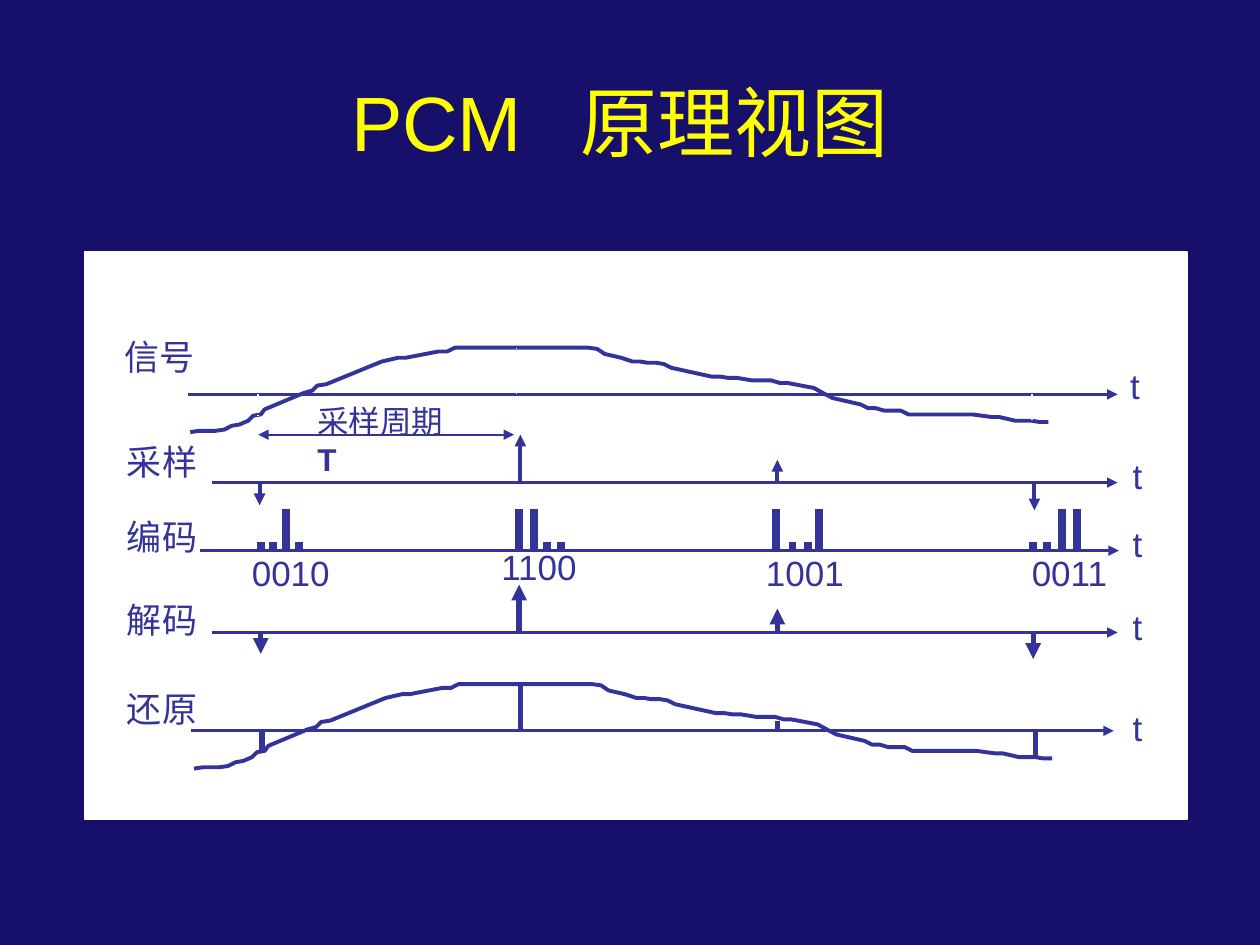
"""Build the slide that shows the stages of PCM along five time axes."""
from lxml.etree import SubElement
from pptx import Presentation
from pptx.dml.color import RGBColor
from pptx.enum.dml import MSO_LINE
from pptx.enum.shapes import MSO_CONNECTOR as Link, MSO_SHAPE as Preset
from pptx.enum.text import MSO_ANCHOR as Anchor, MSO_AUTO_SIZE as Fit, PP_ALIGN as Align
from pptx.oxml.ns import qn
from pptx.util import Inches, Pt

COLORS = {"night": "16106B", "title": "FFFF01", "panel": "FFFFFF", "ink": "333399"}

STAGES = [
    ("信号", (0.89, 2.61), "Times New Roman", (1.49, 8.87, 3.13), (8.87, 2.84)),
    ("采样", (0.91, 3.45), "Arial", (1.68, 8.87, 3.83), (8.89, 3.56)),
    ("编码", (0.91, 4.04), "Arial", (1.59, 8.88, 4.37), (8.89, 4.1)),
    ("解码", (0.91, 4.7), "Arial", (1.68, 8.87, 5.02), (8.89, 4.76)),
    ("还原", (0.91, 5.41), "Arial", (1.52, 8.84, 5.8), (8.89, 5.56)),
]
CODES = [
    ("0010", (1.9, 4.33), (2.07, 2.17, 2.27, 2.37)),
    ("1100", (3.88, 4.28), (4.12, 4.24, 4.34, 4.45)),
    ("1001", (5.98, 4.33), (6.16, 6.29, 6.41, 6.5)),
    ("0011", (8.09, 4.33), (8.2, 8.31, 8.43, 8.55)),
]
SAMPLES = [(2.06, 3.84, 4.01), (4.13, 3.83, 3.45), (6.17, 3.83, 3.65), (8.21, 3.84, 4.05)]
DECODED = [(2.07, 5.02, 5.19), (4.12, 5.02, 4.64), (6.17, 5.02, 4.83), (8.2, 5.02, 5.23)]
RESTORED = [(2.08, 5.8, 5.97), (4.13, 5.43, 5.8), (6.17, 5.72, 5.8), (8.22, 5.8, 6.01)]
DOTTED = [(2.05, 3.13, 3.3), (4.1, 2.76, 3.12), (6.14, 3.05, 3.12), (8.19, 3.13, 3.34)]
PERIOD_ENDS = [(2.05, 3.34, 3.46), (4.1, 3.47, 3.17)]
CURVE = [
    (1.51, 3.43), (1.58, 3.42), (1.71, 3.42), (1.78, 3.41), (1.84, 3.38), (1.9, 3.37),
    (1.97, 3.34), (2.01, 3.3), (2.07, 3.29), (2.1, 3.25), (2.41, 3.12), (2.48, 3.1),
    (2.52, 3.06), (2.59, 3.05), (3.03, 2.87), (3.16, 2.84), (3.22, 2.84), (3.48, 2.79),
    (3.55, 2.79), (3.61, 2.76), (4.67, 2.76), (4.74, 2.77), (4.8, 2.81), (4.93, 2.84),
    (5.02, 2.87), (5.08, 2.87), (5.14, 2.88), (5.21, 2.88), (5.27, 2.89), (5.33, 2.92),
    (5.65, 2.99), (5.72, 2.99), (5.78, 3), (5.85, 3), (5.97, 3.02), (6.12, 3.02),
    (6.19, 3.04), (6.25, 3.04), (6.46, 3.08), (6.55, 3.13), (6.61, 3.16), (6.83, 3.21),
    (6.89, 3.24), (6.95, 3.24), (7.02, 3.26), (7.15, 3.26), (7.21, 3.29), (7.72, 3.29),
    (7.87, 3.31), (7.93, 3.31), (8.06, 3.34), (8.19, 3.34), (8.25, 3.35), (8.32, 3.35),
]


def color(name):
    """Return a named colour."""
    return RGBColor.from_string(COLORS[name])


def style_font(font, size, tint="ink", face="Arial"):
    """Set the size, colour and face of a font."""
    font.size = Pt(size)
    font.name = face
    font.color.rgb = color(tint)


def add_title(page):
    """Fill the title placeholder, with a widened gap after the first word."""
    title = page.shapes.title
    title.left, title.top = Inches(0.67), Inches(0.33)
    title.width, title.height = Inches(8.5), Inches(1.25)
    title.text_frame.vertical_anchor = Anchor.MIDDLE
    para = title.text_frame.paragraphs[0]
    para.alignment = Align.CENTER
    for words in ("PCM", " ", "原理视图"):
        span = para.add_run()
        span.text = words
        if words == " ":
            span.font.size = Pt(44)
            span.font._element.set("spc", "2100")
    style_font(para.font, 44, "title")


def add_panel(page):
    """Draw the white panel behind the diagram."""
    panel = page.shapes.add_shape(
        Preset.RECTANGLE, Inches(0.67), Inches(2), Inches(8.75), Inches(4.5))
    panel.shadow.inherit = False
    panel.fill.solid()
    panel.fill.fore_color.rgb = color("panel")
    panel.line.color.rgb = color("panel")
    panel.line.width = Pt(0.75)


def add_line(page, start, end, width, tint="ink", dash=None, arrows=()):
    """Draw a straight line with optional dash and arrowheads."""
    line = page.shapes.add_connector(Link.STRAIGHT, *map(Inches, start + end))
    line.line.color.rgb = color(tint)
    line.line.width = Pt(width)
    if dash:
        line.line.dash_style = dash
    properties = line._element.spPr
    for arrow in arrows:
        SubElement(properties.find(qn("a:ln")), qn(f"a:{arrow}"), type="triangle")
    SubElement(properties, qn("a:effectLst"))


def add_stems(page, stems, width, **style):
    """Draw vertical lines given as x, start and end."""
    for x, start, end in stems:
        add_line(page, (x, start), (x, end), width, **style)


def add_curve(page, right=0, down=0):
    """Draw the signal curve, moved by the given lengths."""
    points = [(Inches(x + right), Inches(y + down)) for x, y in CURVE]
    builder = page.shapes.build_freeform(*points[0])
    builder.add_line_segments(points[1:], close=False)
    curve = builder.convert_to_shape()
    curve.shadow.inherit = False
    curve.fill.background()
    curve.line.color.rgb = color("ink")
    curve.line.width = Pt(2.25)


def add_label(page, text, place, width, face="Arial"):
    """Add a one-line label."""
    box = page.shapes.add_textbox(*map(Inches, place + (width, 0.43)))
    box.text_frame.word_wrap = False
    box.text_frame.auto_size = Fit.SHAPE_TO_FIT_TEXT
    para = box.text_frame.paragraphs[0]
    para.text = text
    style_font(para.font, 20, face=face)


def add_period(page):
    """Mark the sampling period with its double arrow and caption."""
    add_line(page, (2.05, 3.45), (4.08, 3.45), 1, arrows=("headEnd", "tailEnd"))
    box = page.shapes.add_textbox(Inches(2.42), Inches(3.14), Inches(1.31), Inches(0.7))
    box.text_frame.word_wrap = True
    box.text_frame.auto_size = Fit.SHAPE_TO_FIT_TEXT
    para = box.text_frame.paragraphs[0]
    for words, bold in (("采样周期 ", False), ("T", True)):
        span = para.add_run()
        span.text = words
        span.font.bold = bold
    style_font(para.font, 18)


def add_stage(page, name, place, face, axis, time_place):
    """Draw one time axis with its stage name."""
    left, right, y = axis
    add_line(page, (left, y), (right, y), 1.5, arrows=("tailEnd",))
    add_label(page, name, place, 0.76, face)
    add_label(page, "t", time_place, 0.28)


def add_code(page, code, place, bars):
    """Draw a tall bar for each one, a short bar for each zero, and the code."""
    tops = {"1": 4.04, "0": 4.3}
    add_stems(page, [(x, tops[bit], 4.37) for x, bit in zip(bars, code)], 4.5)
    add_label(page, code, place, 0.82)


def main():
    """Build and save the deck."""
    deck = Presentation()
    deck.slide_width, deck.slide_height = Inches(10), Inches(7.5)
    page = deck.slides.add_slide(deck.slide_layouts[5])
    page.background.fill.solid()
    page.background.fill.fore_color.rgb = color("night")
    add_title(page)
    add_panel(page)
    for stage in STAGES:
        add_stage(page, *stage)
    add_curve(page)
    add_stems(page, DOTTED, 1, tint="panel", dash=MSO_LINE.ROUND_DOT)
    add_stems(page, PERIOD_ENDS, 1, tint="panel")
    add_period(page)
    add_stems(page, SAMPLES, 2.25, arrows=("tailEnd",))
    for code in CODES:
        add_code(page, *code)
    add_stems(page, DECODED, 3, arrows=("tailEnd",))
    add_curve(page, 0.03, 2.67)
    add_stems(page, RESTORED, 3)
    deck.save("out.pptx")


if __name__ == "__main__":
    main()
